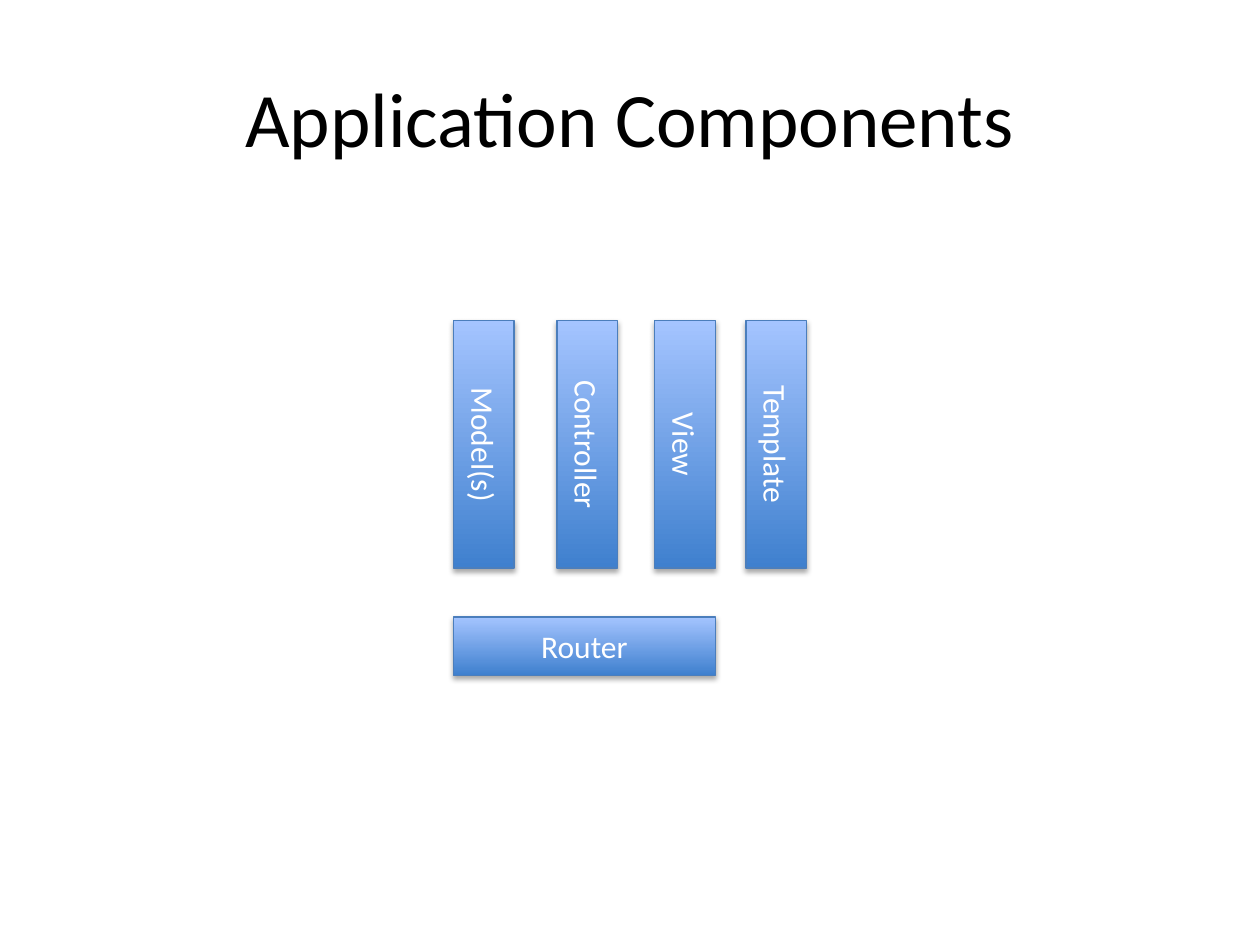
from dataclasses import dataclass

from lxml.etree import SubElement
from pptx import Presentation
from pptx.dml.color import RGBColor
from pptx.enum.shapes import MSO_SHAPE
from pptx.enum.text import MSO_ANCHOR, PP_ALIGN
from pptx.oxml.ns import qn
from pptx.shapes.autoshape import Shape
from pptx.shapes.shapetree import GroupShapes
from pptx.text.text import TextFrame
from pptx.util import Emu, Inches, Pt

COLORS = {
    "title": "000000",
    "label": "FFFFFF",
    "bottom": "3F80CE",
    "top": "A4C4FF",
    "line": "4B7EBC",
    "shadow": "000000",
}
FONT = "Calibri"
SLIDE_W, SLIDE_H = Inches(10), Inches(7.5)


@dataclass
class Box:
    """A labelled block, placed in percent of the slide's size."""
    label: str
    left: float
    top: float
    width: float
    height: float
    vertical: bool = False

    def frame(self) -> tuple[Emu, Emu, Emu, Emu]:
        return (Emu(round(SLIDE_W * self.left / 100)),
                Emu(round(SLIDE_H * self.top / 100)),
                Emu(round(SLIDE_W * self.width / 100)),
                Emu(round(SLIDE_H * self.height / 100)))


TITLE = Box("Application Components", 5, 4, 90, 16.67)
COLUMNS = [Box(label, left, 33.95, 4.8, 26.18, vertical=True)
           for label, left in (("Model(s)", 36), ("Controller", 44.2),
                               ("View", 51.97), ("Template", 59.2))]
# The router spans from the model to the view
ROUTER = Box("Router", COLUMNS[0].left, 65.28,
             COLUMNS[2].left + COLUMNS[2].width - COLUMNS[0].left, 6.18)


def color(name: str) -> RGBColor:
    return RGBColor.from_string(COLORS[name])


def write(tf: TextFrame, text: str, size: float, color_name: str) -> None:
    tf.word_wrap = True
    tf.vertical_anchor = MSO_ANCHOR.MIDDLE
    p = tf.paragraphs[0]
    p.alignment = PP_ALIGN.CENTER
    r = p.add_run()
    r.text = text
    r.font.name = FONT
    r.font.size = Pt(size)
    r.font.color.rgb = color(color_name)


def add_shadow(sp: Shape) -> None:
    sp.shadow.inherit = False
    effects = sp.element.spPr.find(qn("a:effectLst"))
    outer = SubElement(effects, qn("a:outerShdw"), blurRad=str(Pt(3.1)),
                       dist=str(Pt(1.8)), dir="5400000", rotWithShape="0")
    rgb = SubElement(outer, qn("a:srgbClr"), val=COLORS["shadow"])
    SubElement(rgb, qn("a:alpha"), val="35000")


def draw_box(shapes: GroupShapes, box: Box) -> None:
    sp = shapes.add_shape(MSO_SHAPE.RECTANGLE, *box.frame())
    sp.fill.gradient()
    sp.fill.gradient_angle = 90
    for position, (stop, name) in enumerate(
            zip(sp.fill.gradient_stops, ("bottom", "top"))):
        stop.position = position
        stop.color.rgb = color(name)
    sp.line.color.rgb = color("line")
    sp.line.width = Pt(0.75)
    add_shadow(sp)
    write(sp.text_frame, box.label, 18, "label")
    if box.vertical:
        sp.element.txBody.find(qn("a:bodyPr")).set("vert", "vert")


def main() -> None:
    prs = Presentation()
    prs.slide_width, prs.slide_height = SLIDE_W, SLIDE_H
    s = prs.slides.add_slide(prs.slide_layouts[5])

    # Title
    title = s.shapes.title
    title.left, title.top, title.width, title.height = TITLE.frame()
    write(title.text_frame, TITLE.label, 44, "title")

    # Component blocks
    group = s.shapes.add_group_shape()
    for box in (*COLUMNS, ROUTER):
        draw_box(group.shapes, box)

    prs.save("out.pptx")


if __name__ == "__main__":
    main()
